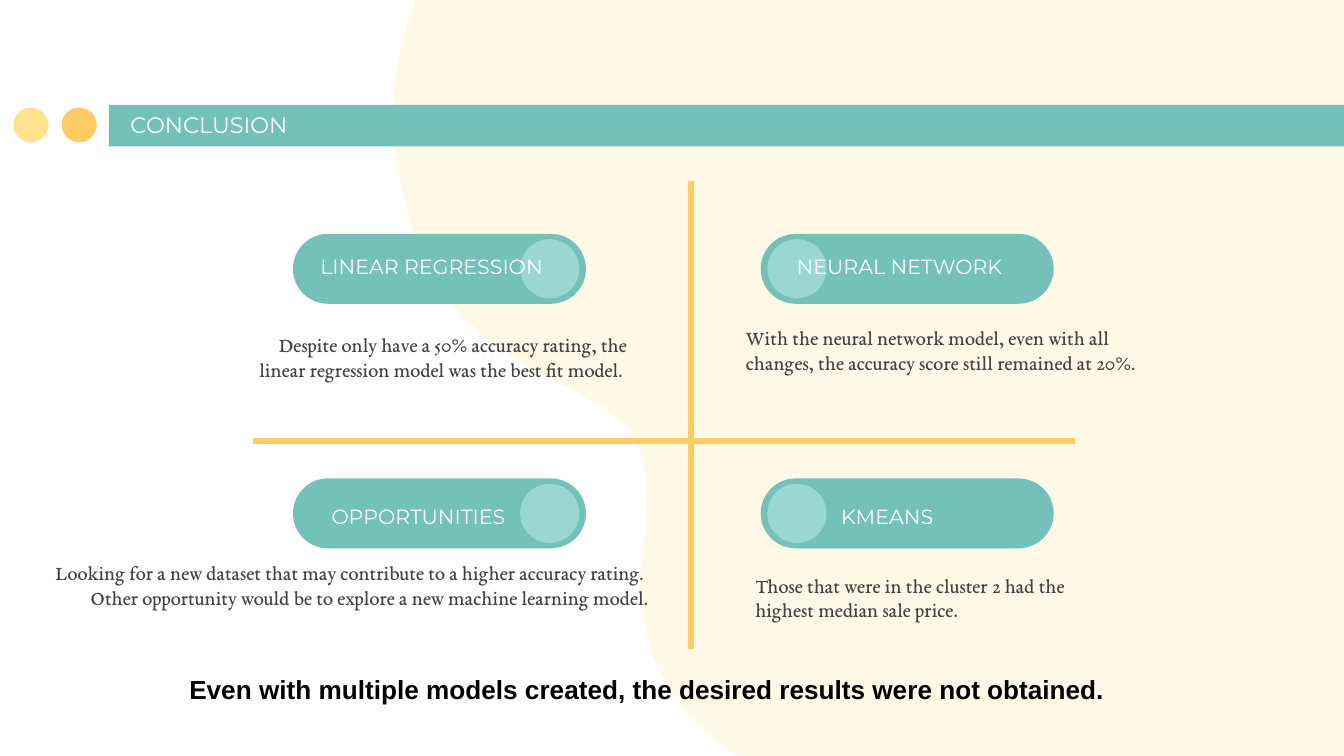
from dataclasses import dataclass

from lxml import etree
from pptx import Presentation
from pptx.dml.color import RGBColor
from pptx.enum.shapes import MSO_CONNECTOR, MSO_SHAPE
from pptx.enum.text import MSO_ANCHOR, MSO_AUTO_SIZE, PP_ALIGN
from pptx.oxml.ns import qn
from pptx.util import Inches, Pt

LEFT, RIGHT = PP_ALIGN.LEFT, PP_ALIGN.RIGHT
TOP, BOTTOM = MSO_ANCHOR.TOP, MSO_ANCHOR.BOTTOM
RECT, OVAL, PILL = MSO_SHAPE.RECTANGLE, MSO_SHAPE.OVAL, MSO_SHAPE.ROUNDED_RECTANGLE


@dataclass(frozen=True)
class Theme:
    teal: str = "74C1B9"
    mint: str = "9AD7D2"
    amber: str = "FFCB64"
    lemon: str = "FFE48D"
    white: str = "FFFFFF"
    grey: str = "434343"
    black: str = "000000"
    head: str = "Montserrat"
    body: str = "EB Garamond"
    plain: str = "Arial"
    title_size: int = 12
    text_size: int = 11
    end_size: int = 14


T = Theme()

# Content: column, row, label, label box, paragraphs, paragraph box
TITLE = "CONCLUSION"
QUADRANTS = [
    (0, 0, "LINEAR REGRESSION", (2.1, 1.79, 2.04, 0.38),
     ["Despite only have a 50% accuracy rating, the linear regression model "
      "was the best fit model. "], (1.82, 2.46, 2.85, 0.91)),
    (1, 0, "NEURAL NETWORK", (5.83, 1.79, 1.84, 0.29),
     ["With the neural network model, even with all changes, the accuracy "
      "score still remained at 20%."], (5.55, 2.41, 2.91, 0.62)),
    (0, 1, "OPPORTUNITIES", (2.31, 3.65, 1.55, 0.34),
     ["Looking for a new dataset that may contribute to a higher accuracy rating. ",
      "Other opportunity would be to explore a new machine learning model."],
     (0.19, 4.16, 4.64, 0.79)),
    (1, 1, "KMEANS", (6.16, 3.65, 1.44, 0.34),
     ["Those that were in the cluster 2 had the highest median sale price."],
     (5.62, 4.25, 2.63, 0.62)),
]
CLOSING = "Even with multiple models created, the desired results were not obtained."

# Grid of pills, and the cross between them
COLS, ROWS = (2.18, 5.66), (1.74, 3.56)
PILL_W, PILL_H, KNOB = 2.18, 0.52, 0.44
CROSS = [(1.88, 3.28, 8, 3.28), (5.14, 1.35, 5.14, 4.83)]

# Background wave: start point, then Bezier segments (two controls and an end)
WAVE_START = (3.28, -0.35)
WAVE = [
    ((3.01, 0.09), (2.86, 0.62), (2.95, 1.19)),
    ((3.22, 3.02), (4.58, 2.66), (4.78, 3.41)),
    ((4.83, 3.59), (4.82, 3.83), (4.78, 4.1)),
    ((4.64, 5), (5.31, 5.81), (6.18, 5.81)),
    ((6.2, 5.81), (6.21, 5.81), (6.23, 5.81)),
    ((6.48, 5.8), (6.73, 5.79), (6.96, 5.79)),
    ((7.27, 5.79), (7.55, 5.8), (7.79, 5.82)),
    ((8.63, 5.9), (8.33, 7.25), (9.93, 7.68)),
]
WAVE_EDGE = [(10.31, 7.68), (10.31, -0.35)]
STEPS = 24


def rgb(c):
    return RGBColor.from_string(c)


def paint(sp, color):
    sp.fill.solid()
    sp.fill.fore_color.rgb = rgb(color)
    sp.line.fill.background()
    sp.shadow.inherit = False
    return sp


def add_block(shapes, kind, box, color):
    return paint(shapes.add_shape(kind, *map(Inches, box)), color)


def write(sp, paras, font, size, color, align=LEFT, anchor=TOP,
          insets=(0.1, 0.1, 0.1, 0.1), bold=False):
    tf = sp.text_frame
    tf.auto_size = MSO_AUTO_SIZE.NONE
    tf.word_wrap = True
    tf.vertical_anchor = anchor
    (tf.margin_left, tf.margin_top,
     tf.margin_right, tf.margin_bottom) = map(Inches, insets)
    tf.text = "\n".join(paras)
    for p in tf.paragraphs:
        p.alignment = align
        for r in p.runs:
            r.font.name, r.font.size, r.font.bold = font, Pt(size), bold
            r.font.color.rgb = rgb(color)


def add_text(shapes, box, *args, **kwargs):
    write(shapes.add_textbox(*map(Inches, box)), *args, **kwargs)


def curve(p0, p1, p2, p3):
    for i in range(1, STEPS + 1):
        t = i / STEPS
        u = 1 - t
        yield tuple(u**3 * a + 3 * u * u * t * b + 3 * u * t * t * c + t**3 * d
                    for a, b, c, d in zip(p0, p1, p2, p3))


def add_wave(shapes):
    points, start = [], WAVE_START
    for seg in WAVE:
        points.extend(curve(start, *seg))
        start = seg[-1]
    fb = shapes.build_freeform(*map(Inches, WAVE_START))
    fb.add_line_segments([(Inches(x), Inches(y)) for x, y in points + WAVE_EDGE])
    sp = paint(fb.convert_to_shape(), T.lemon)
    color = sp._element.spPr.find(qn("a:solidFill"))[0]
    etree.SubElement(color, qn("a:alpha"), val="21000")


def add_line(shapes, ends):
    ln = shapes.add_connector(MSO_CONNECTOR.STRAIGHT, *map(Inches, ends))
    ln.line.color.rgb = rgb(T.amber)
    ln.line.width = Pt(3)
    etree.SubElement(ln._element.spPr, qn("a:effectLst"))


def main():
    prs = Presentation()
    prs.slide_width = Inches(10)
    prs.slide_height = prs.slide_width * 9 // 16
    slide = prs.slides.add_slide(prs.slide_layouts[5])
    shapes = slide.shapes

    # Background and title band
    add_wave(shapes)
    add_block(shapes, RECT, (0.81, 0.78, 9.5, 0.31), T.teal)
    for x, color in ((0.46, T.amber), (0.1, T.lemon)):
        add_block(shapes, OVAL, (x, 0.8, 0.26, 0.26), color)

    # Title, brought in front of its band
    title = shapes.title
    title.left, title.top, title.width, title.height = map(
        Inches, (0.87, 0.79, 5.48, 0.34))
    write(title, [TITLE], T.head, T.title_size, T.white, anchor=BOTTOM)
    shapes._spTree.append(title._element)

    # Quadrants: the left column mirrors the right one
    gap = (PILL_H - KNOB) / 2
    for col, row, label, label_box, paras, text_box in QUADRANTS:
        x, y = COLS[col], ROWS[row]
        align = LEFT if col else RIGHT
        knob_x = x + 0.05 if col else x + PILL_W - 0.05 - KNOB
        pill = add_block(shapes, PILL, (x, y, PILL_W, PILL_H), T.teal)
        pill.adjustments[0] = 0.5
        add_block(shapes, OVAL, (knob_x, y + gap, KNOB, KNOB), T.mint)
        add_text(shapes, label_box, [label], T.head, T.text_size, T.white, align)
        add_text(shapes, text_box, paras, T.body, T.text_size, T.grey, align,
                 insets=(0, 0.01, 0, 0))

    # Cross and closing line
    for ends in CROSS:
        add_line(shapes, ends)
    add_text(shapes, (1.31, 4.96, 8.12, 0.34), [CLOSING], T.plain, T.end_size,
             T.black, insets=(0.1, 0.05, 0.1, 0.05), bold=True)
    prs.save("out.pptx")


if __name__ == "__main__":
    main()
